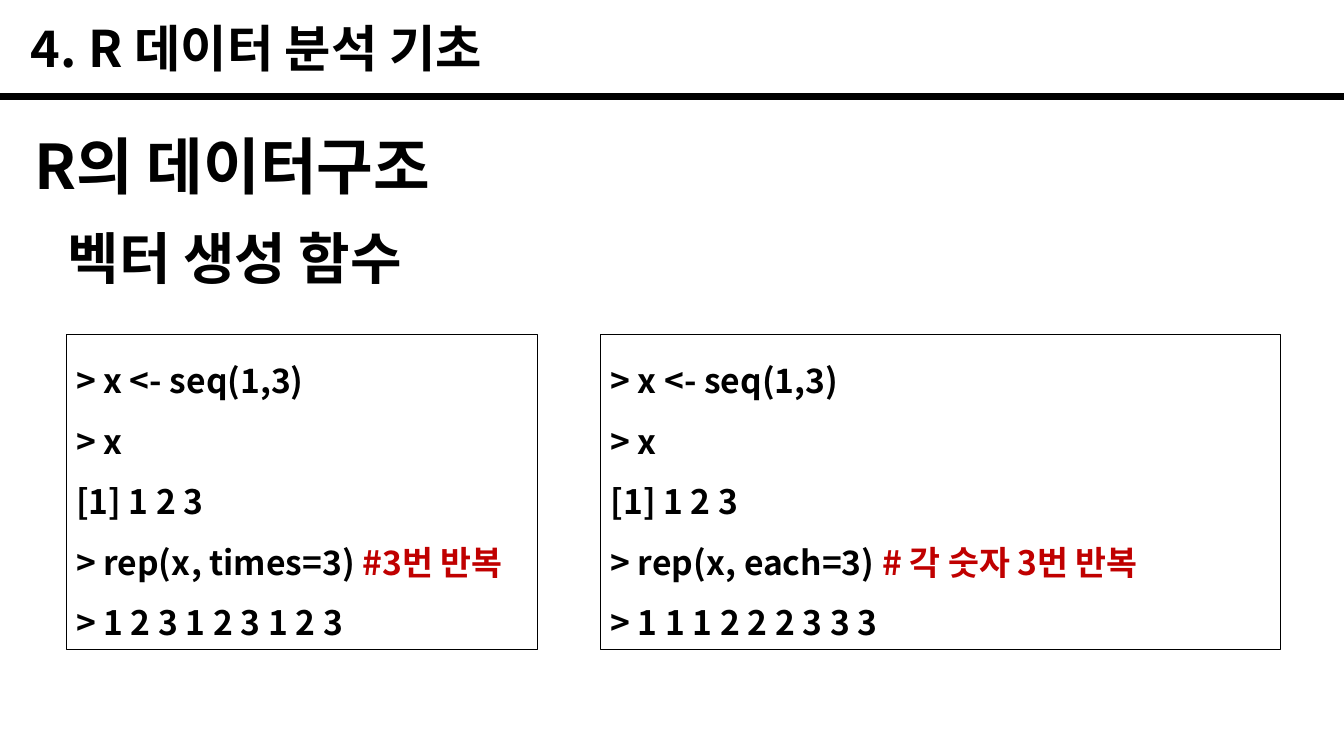
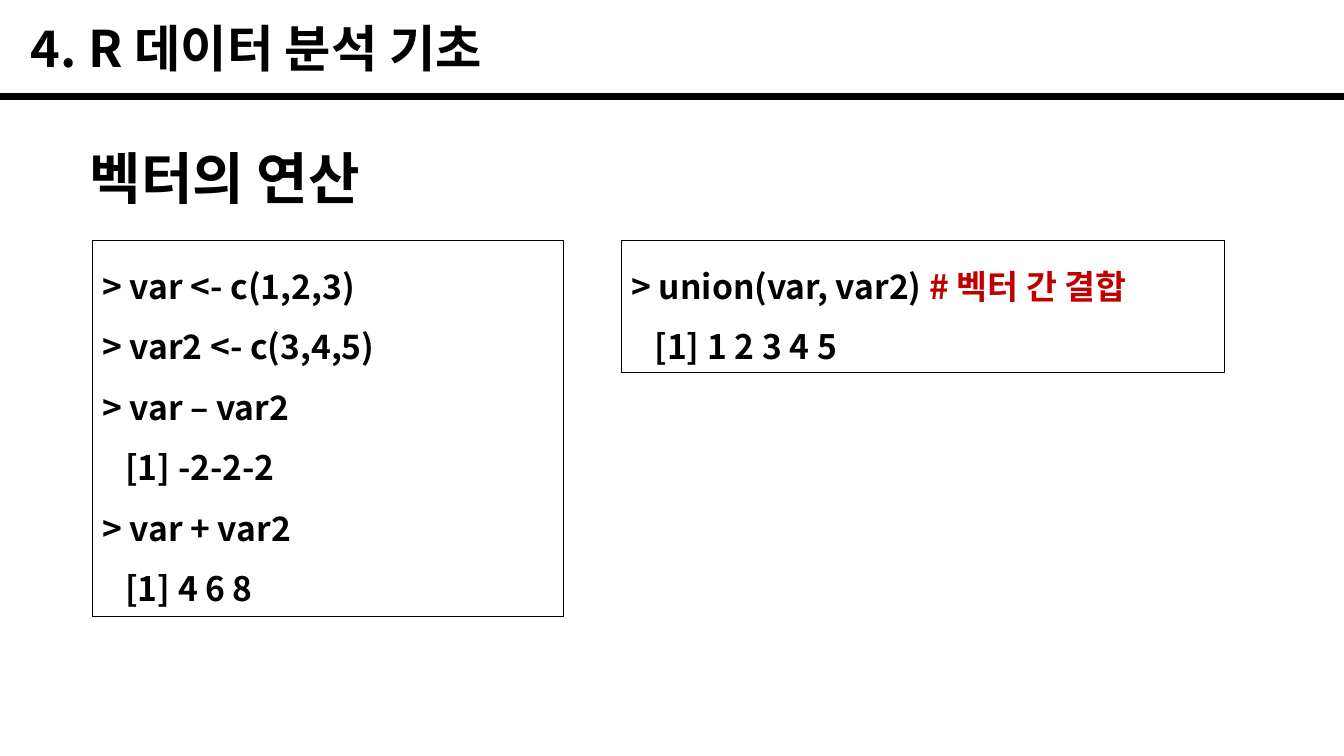
from dataclasses import dataclass

from lxml.etree import SubElement
from pptx import Presentation
from pptx.dml.color import RGBColor
from pptx.enum.shapes import MSO_CONNECTOR, MSO_SHAPE
from pptx.enum.text import MSO_ANCHOR, MSO_AUTO_SIZE, PP_ALIGN
from pptx.oxml.ns import qn
from pptx.slide import Slide
from pptx.text.text import TextFrame, _Paragraph
from pptx.util import Pt

PX = 9525
WIDTH, HEIGHT = 1280, 720
RULE_Y = 92
LINE_H, BOX_PAD = 58, 10


@dataclass(frozen=True)
class Theme:
    font: str = "Noto Sans CJK KR"
    ink: RGBColor = RGBColor(0, 0, 0)
    note: RGBColor = RGBColor(0xC0, 0, 0)
    paper: RGBColor = RGBColor(255, 255, 255)
    header: int = 36
    topic: int = 44
    subtopic: int = 40
    code: int = 24
    rule: float = 4.5
    border: float = 0.75


@dataclass(frozen=True)
class Label:
    text: str
    x: int
    y: int
    w: int
    h: int
    size: int
    wrap: bool = True


@dataclass(frozen=True)
class CodeLine:
    code: str
    note: str = ""


@dataclass(frozen=True)
class CodeBox:
    x: int
    y: int
    w: int
    lines: tuple[CodeLine, ...]


@dataclass(frozen=True)
class Page:
    labels: tuple[Label, ...]
    boxes: tuple[CodeBox, ...]


THEME = Theme()
HEADER = Label("4. R 데이터 분석 기초", 20, 12, 822, 68, THEME.header)


def rep_lines(call: str, note: str, result: str) -> tuple[CodeLine, ...]:
    return (
        CodeLine("> x <- seq(1,3)"),
        CodeLine("> x"),
        CodeLine("[1] 1 2 3"),
        CodeLine(call, note),
        CodeLine(result),
    )


PAGES = (
    Page(
        (
            Label("R의 데이터구조", 23, 117, 791, 81, THEME.topic),
            Label("벡터 생성 함수", 55, 208, 352, 74, THEME.subtopic, False),
        ),
        (
            CodeBox(63, 319, 449, rep_lines(
                "> rep(x, times=3) ", "#3번 반복", "> 1 2 3 1 2 3 1 2 3")),
            CodeBox(572, 319, 648, rep_lines(
                "> rep(x, each=3) ", "# 각 숫자 3번 반복", "> 1 1 1 2 2 2 3 3 3")),
        ),
    ),
    Page(
        (Label("벡터의 연산", 76, 132, 284, 74, THEME.subtopic, False),),
        (
            CodeBox(88, 229, 449, (
                CodeLine("> var <- c(1,2,3)"),
                CodeLine("> var2 <- c(3,4,5)"),
                CodeLine("> var – var2"),
                CodeLine("   [1] -2-2-2"),
                CodeLine("> var + var2"),
                CodeLine("   [1] 4 6 8"),
            )),
            CodeBox(592, 229, 574, (
                CodeLine("> union(var, var2) ", "# 벡터 간 결합"),
                CodeLine("   [1] 1 2 3 4 5"),
            )),
        ),
    ),
)


def add_run(p: _Paragraph, text: str, size: int, color: RGBColor = THEME.ink) -> None:
    r = p.add_run()
    r.text = text
    r.font.name = THEME.font
    r.font.size = Pt(size)
    r.font.bold = True
    r.font.color.rgb = color
    SubElement(r.font._element, qn("a:ea"), typeface=THEME.font)


def set_frame(tf: TextFrame, wrap: bool = True) -> None:
    tf.word_wrap = wrap
    tf.auto_size = MSO_AUTO_SIZE.SHAPE_TO_FIT_TEXT
    tf.vertical_anchor = MSO_ANCHOR.TOP


def add_label(s: Slide, label: Label) -> None:
    sp = s.shapes.add_textbox(label.x * PX, label.y * PX, label.w * PX, label.h * PX)
    set_frame(sp.text_frame, label.wrap)
    add_run(sp.text_frame.paragraphs[0], label.text, label.size)


def add_code_box(s: Slide, box: CodeBox) -> None:
    height = BOX_PAD + LINE_H * len(box.lines)
    sp = s.shapes.add_shape(
        MSO_SHAPE.RECTANGLE, box.x * PX, box.y * PX, box.w * PX, height * PX)
    sp.shadow.inherit = False
    sp.fill.background()
    sp.line.color.rgb = THEME.ink
    sp.line.width = Pt(THEME.border)
    tf = sp.text_frame
    set_frame(tf)
    for i, line in enumerate(box.lines):
        p = tf.add_paragraph() if i else tf.paragraphs[0]
        p.alignment = PP_ALIGN.JUSTIFY
        p.line_spacing = 1.5
        add_run(p, line.code, THEME.code)
        if line.note:
            add_run(p, line.note, THEME.code, THEME.note)


def add_rule(s: Slide) -> None:
    rule = s.shapes.add_connector(
        MSO_CONNECTOR.STRAIGHT, 0, RULE_Y * PX, WIDTH * PX, RULE_Y * PX)
    rule.line.color.rgb = THEME.ink
    rule.line.width = Pt(THEME.rule)
    SubElement(rule._element.spPr, qn("a:effectLst"))


def add_page(prs: Presentation, page: Page) -> None:
    s = prs.slides.add_slide(prs.slide_layouts[6])
    s.background.fill.solid()
    s.background.fill.fore_color.rgb = THEME.paper
    add_rule(s)
    for label in (HEADER, *page.labels):
        add_label(s, label)
    for box in page.boxes:
        add_code_box(s, box)


def main() -> None:
    prs = Presentation()
    prs.slide_width, prs.slide_height = WIDTH * PX, HEIGHT * PX
    for page in PAGES:
        add_page(prs, page)
    prs.save("out.pptx")


if __name__ == "__main__":
    main()
